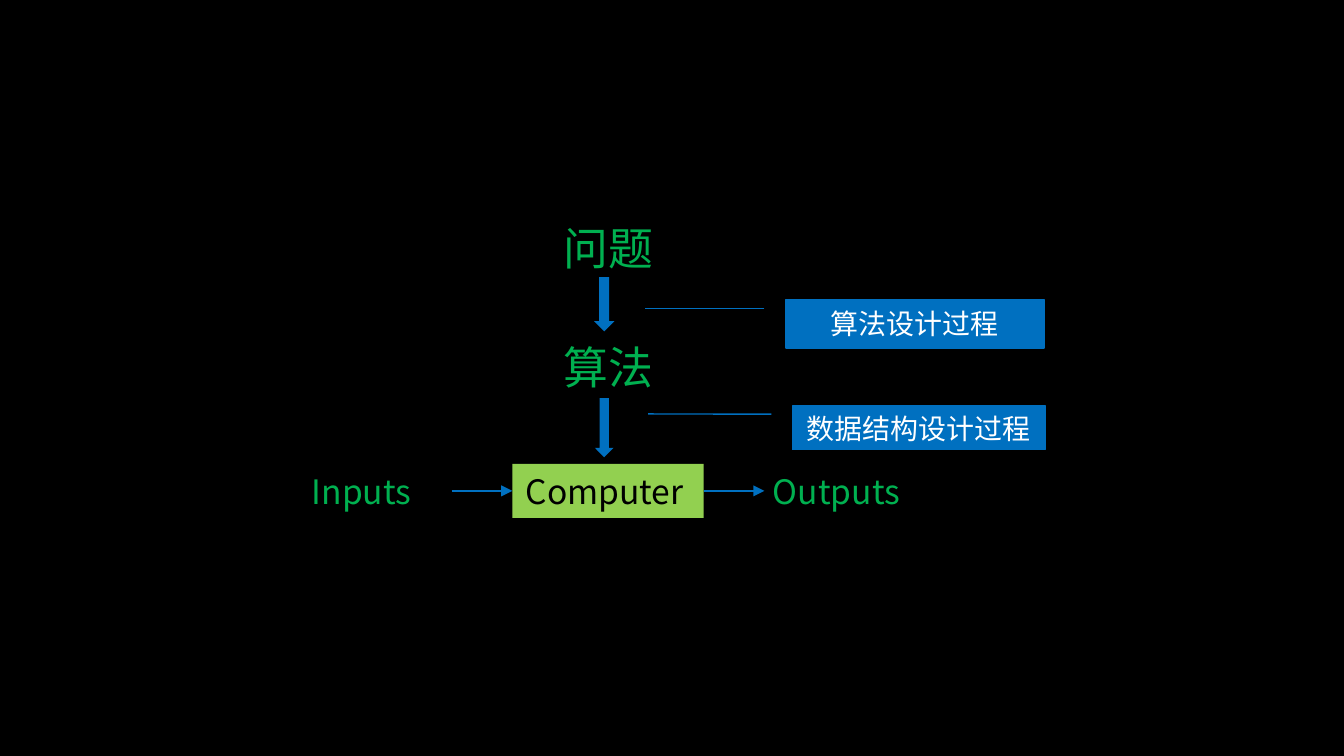
"""Build a slide showing how a problem becomes an algorithm and runs on a computer."""
from lxml.etree import SubElement
from pptx import Presentation
from pptx.dml.color import RGBColor
from pptx.enum.shapes import MSO_CONNECTOR, MSO_SHAPE
from pptx.enum.text import MSO_ANCHOR, PP_ALIGN
from pptx.oxml.ns import qn
from pptx.util import Pt

FONT = "Noto Sans CJK SC"
BLACK, WHITE = "000000", "FFFFFF"
BLUE, GREEN, LIME = "0070C0", "00B050", "92D050"

CALLOUTS = [
    ("算法设计过程", (421, 160.4, 138.3, 26), (0.188, -0.083, 0.188, -0.167, 0.188, -0.544)),
    ("数据结构设计过程", (424.5, 217.5, 135.5, 23.4), (0.188, -0.083, 0.188, -0.167, 0.184, -0.57)),
]
LABELS = [
    ("Inputs", (160, 249, 88.5, 29), 18, PP_ALIGN.LEFT),
    ("Outputs", (407, 249, 85.5, 29), 18, PP_ALIGN.LEFT),
    ("问题", (284, 114.5, 83.5, 36.5), 24, PP_ALIGN.CENTER),
    ("算法", (284, 178.5, 83.5, 36.5), 24, PP_ALIGN.CENTER),
]
COMPUTER = ("Computer", (274.5, 248.5, 102.5, 29))
DOWN_ARROWS = [(318.3, 148.5, 10.8, 29), (318.7, 213.3, 10, 31.7)]
FLOW_LENGTH = 32.5


def color(value):
    return RGBColor.from_string(value)


def write(shape, text, size, text_color, alignment, anchor=MSO_ANCHOR.TOP, wrap=True):
    frame = shape.text_frame
    frame.word_wrap = wrap
    frame.vertical_anchor = anchor
    paragraph = frame.paragraphs[0]
    paragraph.text = text
    paragraph.alignment = alignment
    paragraph.font.size = Pt(size)
    paragraph.font.name = FONT
    paragraph.font.color.rgb = color(text_color)
    properties = paragraph.runs[0].font
    properties.name = FONT
    SubElement(properties._element, qn("a:ea"), typeface=FONT)


def add_block(slide, kind, box, fill):
    shape = slide.shapes.add_shape(kind, *map(Pt, box))
    shape.shadow.inherit = False
    shape.fill.solid()
    shape.fill.fore_color.rgb = color(fill)
    shape.line.fill.background()
    return shape


def add_flow(slide, start, end, y):
    connector = slide.shapes.add_connector(MSO_CONNECTOR.STRAIGHT, Pt(start), Pt(y), Pt(end), Pt(y))
    connector.line.color.rgb = color(BLUE)
    connector.line.width = Pt(0.75)
    SubElement(connector.line._get_or_add_ln(), qn("a:tailEnd"), type="triangle")
    SubElement(connector._element.spPr, qn("a:effectLst"))
    return connector


def main():
    presentation = Presentation()
    presentation.slide_width, presentation.slide_height = Pt(720), Pt(405)
    slide = presentation.slides.add_slide(presentation.slide_layouts[6])
    slide.background.fill.solid()
    slide.background.fill.fore_color.rgb = color(BLACK)

    for text, box, adjustments in CALLOUTS:
        callout = add_block(slide, MSO_SHAPE.LINE_CALLOUT_2, box, BLUE)
        callout.line.color.rgb = color(BLUE)
        callout.line.width = Pt(0.75)
        for index, value in enumerate(adjustments):
            callout.adjustments[index] = value
        write(callout, text, 15, WHITE, PP_ALIGN.CENTER, MSO_ANCHOR.MIDDLE, wrap=False)

    text, box = COMPUTER
    computer = add_block(slide, MSO_SHAPE.RECTANGLE, box, LIME)
    write(computer, text, 18, BLACK, PP_ALIGN.LEFT)

    for text, label_box, size, alignment in LABELS:
        label = slide.shapes.add_textbox(*map(Pt, label_box))
        write(label, text, size, GREEN, alignment)

    for arrow_box in DOWN_ARROWS:
        add_block(slide, MSO_SHAPE.DOWN_ARROW, arrow_box, BLUE)

    left, top, width, height = box
    right, middle = left + width, top + height / 2
    add_flow(slide, left - FLOW_LENGTH, left, middle).end_connect(computer, 1)
    add_flow(slide, right, right + FLOW_LENGTH, middle).begin_connect(computer, 3)

    presentation.save("out.pptx")


if __name__ == "__main__":
    main()
